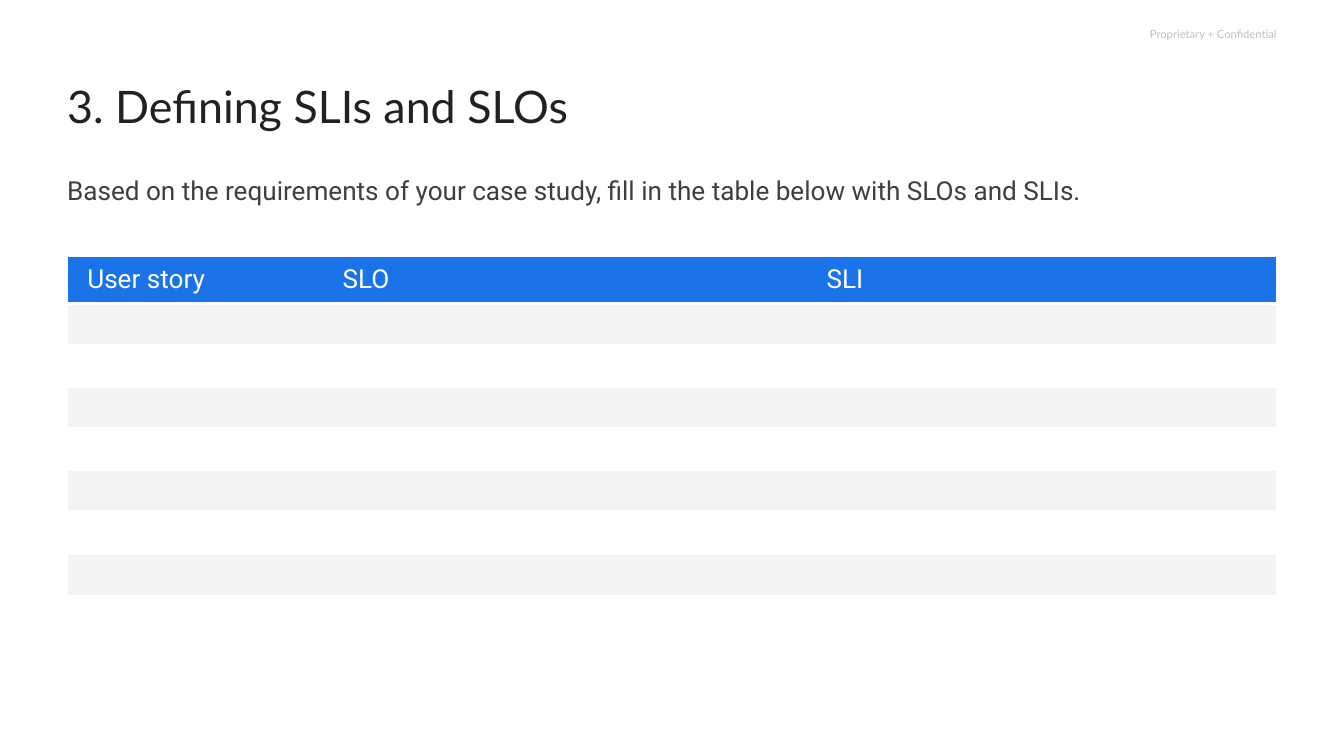
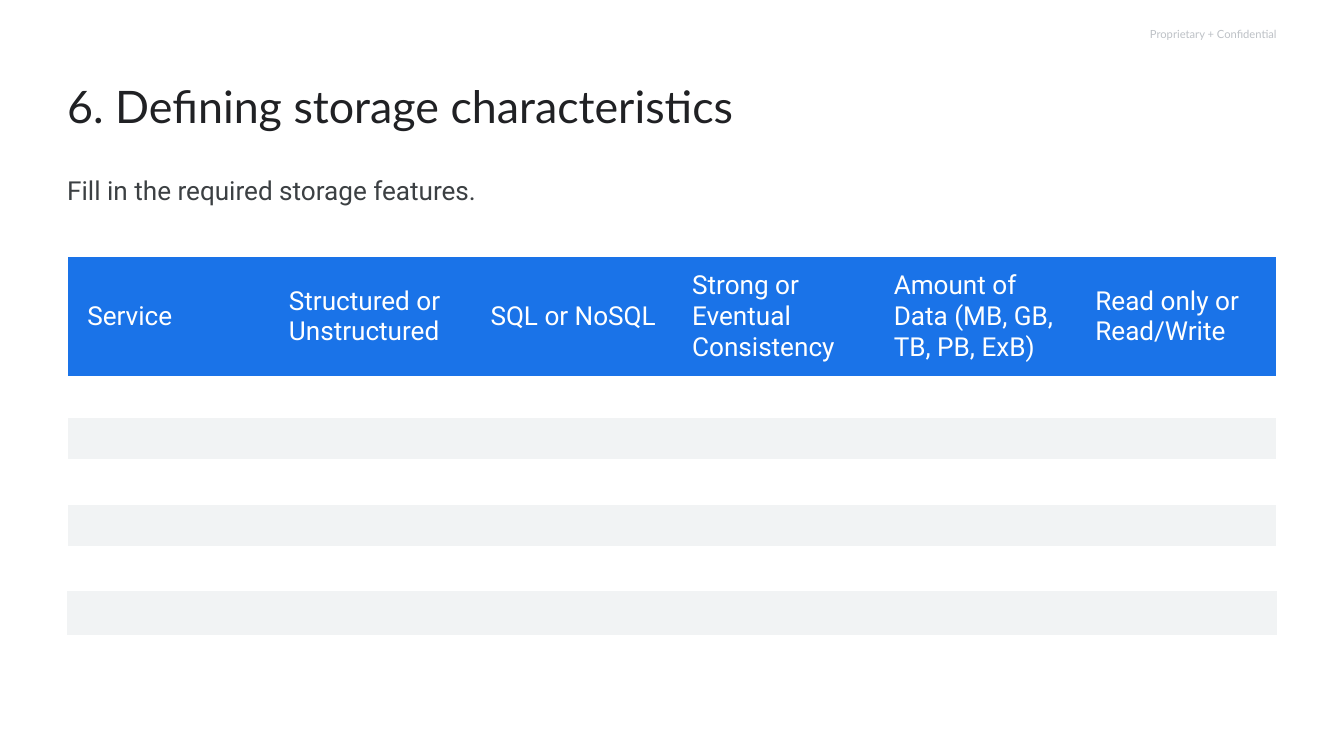
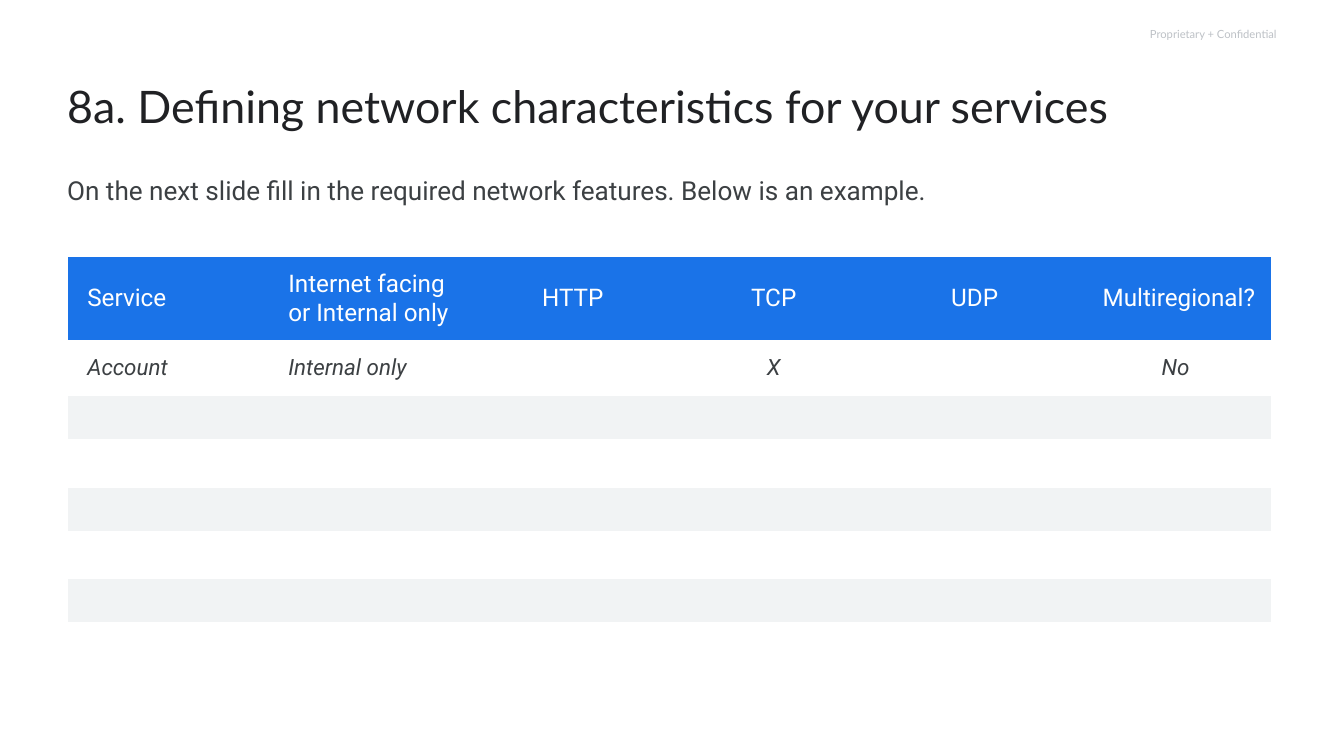
import dataclasses
import typing

import pptx
import pptx.dml.color
import pptx.enum.text
import pptx.oxml
import pptx.oxml.ns
import pptx.util

Align = pptx.enum.text.PP_ALIGN
Anchor = pptx.enum.text.MSO_ANCHOR

WIDE = pptx.util.Inches(20)
HIGH = pptx.util.Inches(11.25)
COLS, ROWS = 20, 11.25
LEFT = 1

WHITE, BLUE, GREY = "FFFFFF", "1A73E8", "F1F3F4"
INK, SLATE, FAINT = "202124", "3C4043", "BDC1C6"
EDGE = pptx.util.Pt(3)


@dataclasses.dataclass(frozen=True)
class Style:
    face: str
    size: float
    tint: str
    italic: bool = False
    lead: float = 1.0


@dataclasses.dataclass(frozen=True)
class Box:
    """Place in grid columns and rows."""
    x: float
    y: float
    w: float
    h: float


@dataclasses.dataclass(frozen=True)
class Entry:
    text: str
    align: Align = Align.LEFT
    right: float = 0.2


@dataclasses.dataclass(frozen=True)
class Form:
    """A fill-in table; edges lists the white sides of rows that lack some."""
    cols: list[float]
    rows: list[float]
    head: list[Entry]
    size: float
    pad: float
    band: int
    edges: dict[int, str] = dataclasses.field(default_factory=dict)
    sample: list[Entry] = dataclasses.field(default_factory=list)


@dataclasses.dataclass(frozen=True)
class Page:
    title: str
    lead: str
    form: Form
    span: float = 11.94
    reach: float = 18


TAG = Style("Lato", 12, FAINT)
TITLE = Style("Lato", 48, INK, lead=1.2)
BODY = Style("Roboto", 28, SLATE, lead=1.15)
SAMPLE = Style("Roboto", 24, SLATE, italic=True)


def mid(text: str, right: float = 0.2) -> Entry:
    return Entry(text, Align.CENTER, right)


PAGES = [
    Page(
        "3. Defining SLIs and SLOs",
        "Based on the requirements of your case study, fill in the table below with SLOs and SLIs.",
        Form(
            cols=[3.8, 7.2, 7],
            rows=[0.7] + [0.62] * 7,
            head=[Entry(name, right=0.1) for name in ("User story", "SLO", "SLI")],
            size=28, pad=0.12, band=1, edges={7: "LRT"},
        ),
        reach=17.23,
    ),
    Page(
        "6. Defining storage characteristics",
        "Fill in the required storage features.",
        Form(
            cols=[3] * 6,
            rows=[1.77, 0.59] + [0.65] * 5,
            head=[Entry(name) for name in (
                "Service", "Structured or Unstructured", "SQL or NoSQL",
                "Strong or Eventual Consistency",
                "Amount of Data (MB, GB, TB, PB, ExB)", "Read only or Read/Write")],
            size=28, pad=0.2, band=2, edges={5: "LRT", 6: ""},
        ),
    ),
    Page(
        "8a. Defining network characteristics for your services",
        "On the next slide fill in the required network features. Below is an example.",
        Form(
            cols=[2.99] * 6,
            rows=[1.26, 0.79] + [0.68] * 5,
            head=[Entry("Service"), Entry("Internet facing or Internal only"),
                  mid("HTTP"), mid("TCP"), mid("UDP"), mid("Multiregional?", 0.1)],
            size=26, pad=0.2, band=2,
            sample=[Entry("Account"), Entry("Internal only"),
                    mid(""), mid("X"), mid(""), mid("No")],
        ),
        span=18,
    ),
]


def across(cols: float) -> int:
    return round(WIDE * cols / COLS)


def down(rows: float) -> int:
    return round(HIGH * rows / ROWS)


def color(code: str) -> pptx.dml.color.RGBColor:
    return pptx.dml.color.RGBColor.from_string(code)


def assign(item: typing.Any, values: dict[str, typing.Any]) -> None:
    for name, value in values.items():
        setattr(item, name, value)


def write(frame: typing.Any, text: str, style: Style, align: Align = Align.LEFT) -> None:
    line = frame.paragraphs[0]
    assign(line, {"alignment": align, "line_spacing": style.lead})
    run = line.add_run()
    run.text = text
    assign(run.font, {"name": style.face, "size": pptx.util.Pt(style.size),
                      "italic": style.italic})
    run.font.color.rgb = color(style.tint)


def label(slide: typing.Any, box: Box, text: str, style: Style,
          align: Align = Align.LEFT, anchor: Anchor = Anchor.TOP, right: float = 0) -> None:
    frame = slide.shapes.add_textbox(
        across(box.x), down(box.y), across(box.w), down(box.h)).text_frame
    assign(frame, {"word_wrap": True, "vertical_anchor": anchor, "margin_left": 0,
                   "margin_top": 0, "margin_right": across(right), "margin_bottom": 0})
    write(frame, text, style, align)


def border(cell: typing.Any, sides: str) -> None:
    """Draw the given sides white and leave the others without a line."""
    props = cell._tc.get_or_add_tcPr()
    space = pptx.oxml.ns.nsdecls("a")
    for side in "LRTB":
        paint = (f'<a:solidFill><a:srgbClr val="{WHITE}"/></a:solidFill>'
                 if side in sides else "<a:noFill/>")
        props.append(pptx.oxml.parse_xml(
            f'<a:ln{side} {space} w="{EDGE}">{paint}</a:ln{side}>'))


def fill(cell: typing.Any, code: str) -> None:
    cell.fill.solid()
    cell.fill.fore_color.rgb = color(code)


def enter(cell: typing.Any, entry: Entry, style: Style, pad: float, anchor: Anchor) -> None:
    assign(cell, {"vertical_anchor": anchor, "margin_left": across(0.3),
                  "margin_right": across(entry.right),
                  "margin_top": down(pad), "margin_bottom": down(pad)})
    write(cell.text_frame, entry.text, style, entry.align)


def shade(form: Form, row: int) -> str:
    if row == 0:
        return BLUE
    return GREY if row >= form.band and (row - form.band) % 2 == 0 else WHITE


def draw(slide: typing.Any, form: Form) -> None:
    table = slide.shapes.add_table(
        len(form.rows), len(form.cols), across(LEFT), down(3.81),
        across(sum(form.cols)), down(sum(form.rows))).table
    assign(table, {"first_row": False, "horz_banding": False})
    for col, width in zip(table.columns, form.cols):
        col.width = across(width)
    last = len(form.cols) - 1
    for r, height in enumerate(form.rows):
        table.rows[r].height = down(height)
        sides = form.edges.get(r, "LRTB")
        for c in range(last + 1):
            inner = ("L" if c > 0 else "") + ("R" if c < last else "")
            cell = table.cell(r, c)
            border(cell, "".join(s for s in sides if s not in inner))
            fill(cell, shade(form, r))
    head = Style("Roboto", form.size, WHITE)
    for c, entry in enumerate(form.head):
        enter(table.cell(0, c), entry, head, form.pad, Anchor.MIDDLE)
    for c, entry in enumerate(form.sample):
        if entry.text:
            enter(table.cell(1, c), entry, SAMPLE, form.pad, Anchor.TOP)


def build(deck: typing.Any, page: Page) -> None:
    slide = deck.slides.add_slide(deck.slide_layouts[6])
    slide.background.fill.solid()
    slide.background.fill.fore_color.rgb = color(WHITE)
    label(slide, Box(14.79, 0, 4.21, 1.01), "Proprietary + Confidential", TAG,
          Align.RIGHT, Anchor.MIDDLE)
    label(slide, Box(LEFT, 1.01, page.span, 2.19), page.title, TITLE, right=0.2)
    label(slide, Box(LEFT, 2.53, page.reach, 0.61), page.lead, BODY)
    draw(slide, page.form)


def main() -> None:
    deck = pptx.Presentation()
    assign(deck, {"slide_width": WIDE, "slide_height": HIGH})
    for page in PAGES:
        build(deck, page)
    deck.save("out.pptx")


if __name__ == "__main__":
    main()
